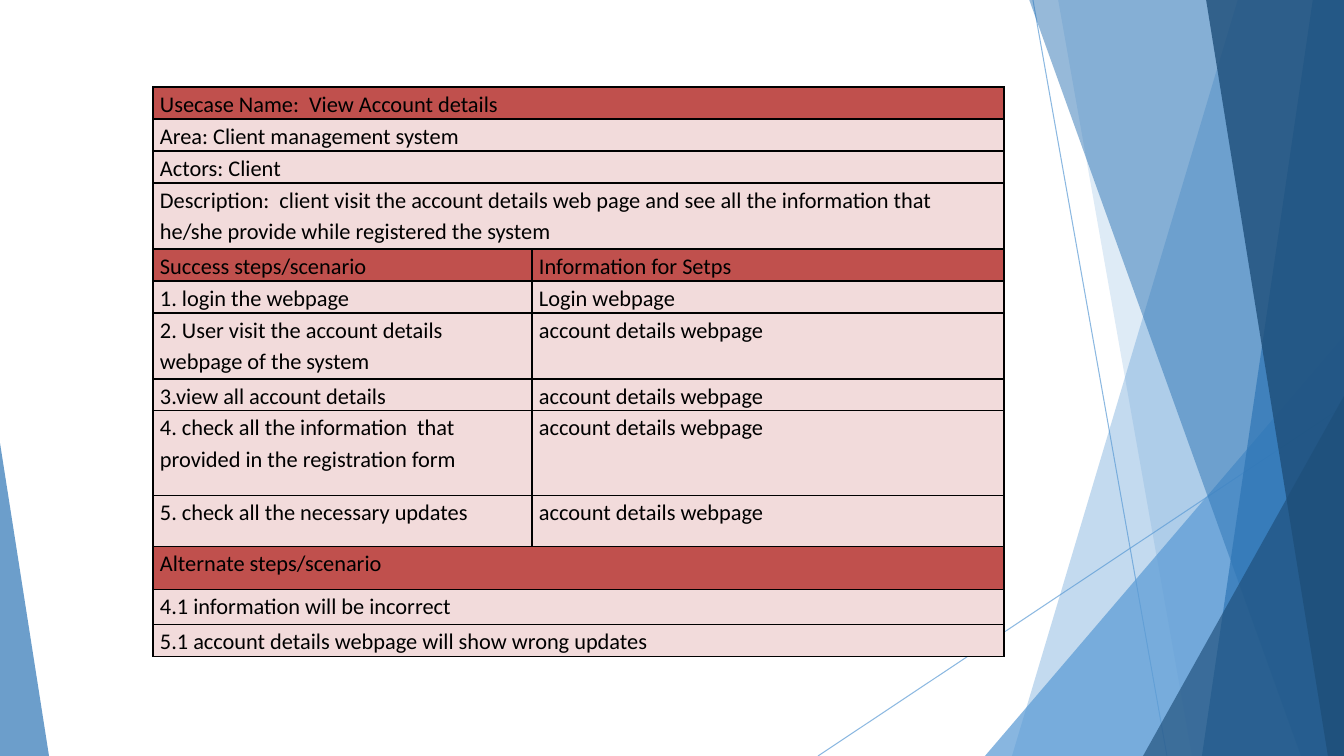
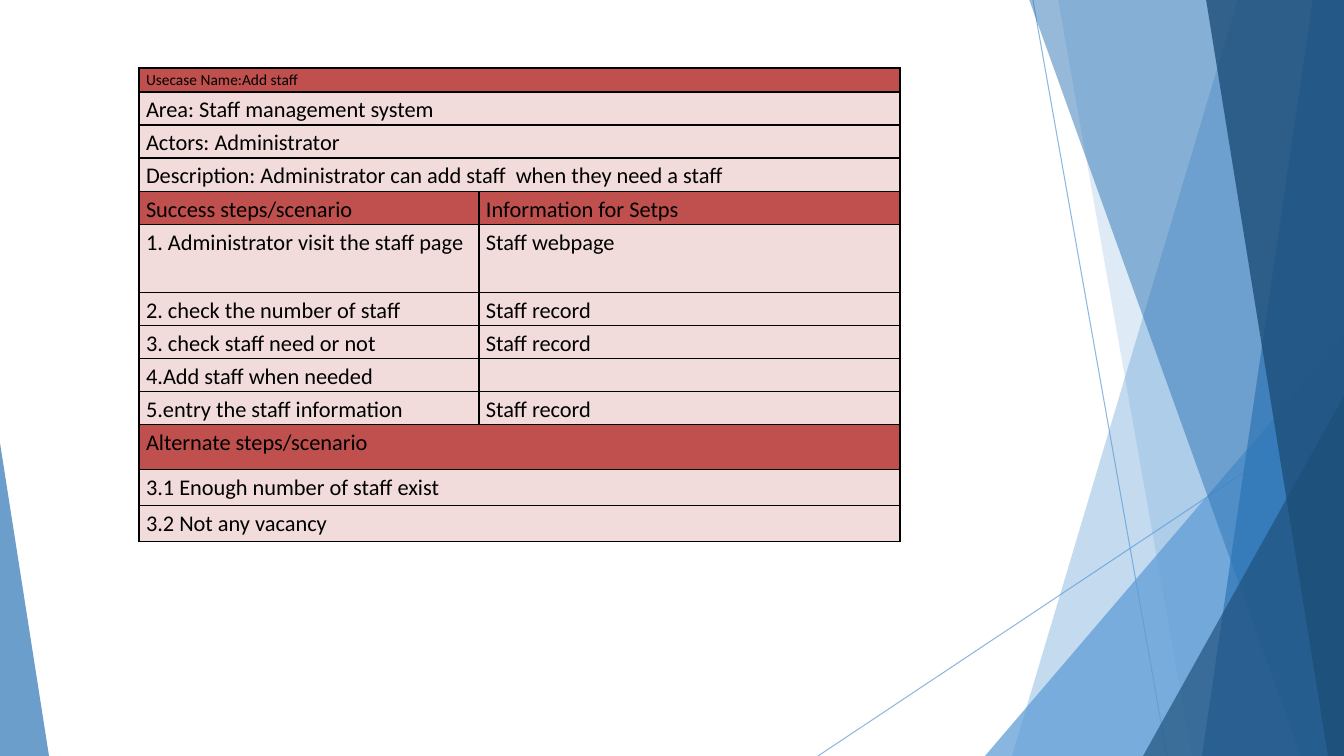
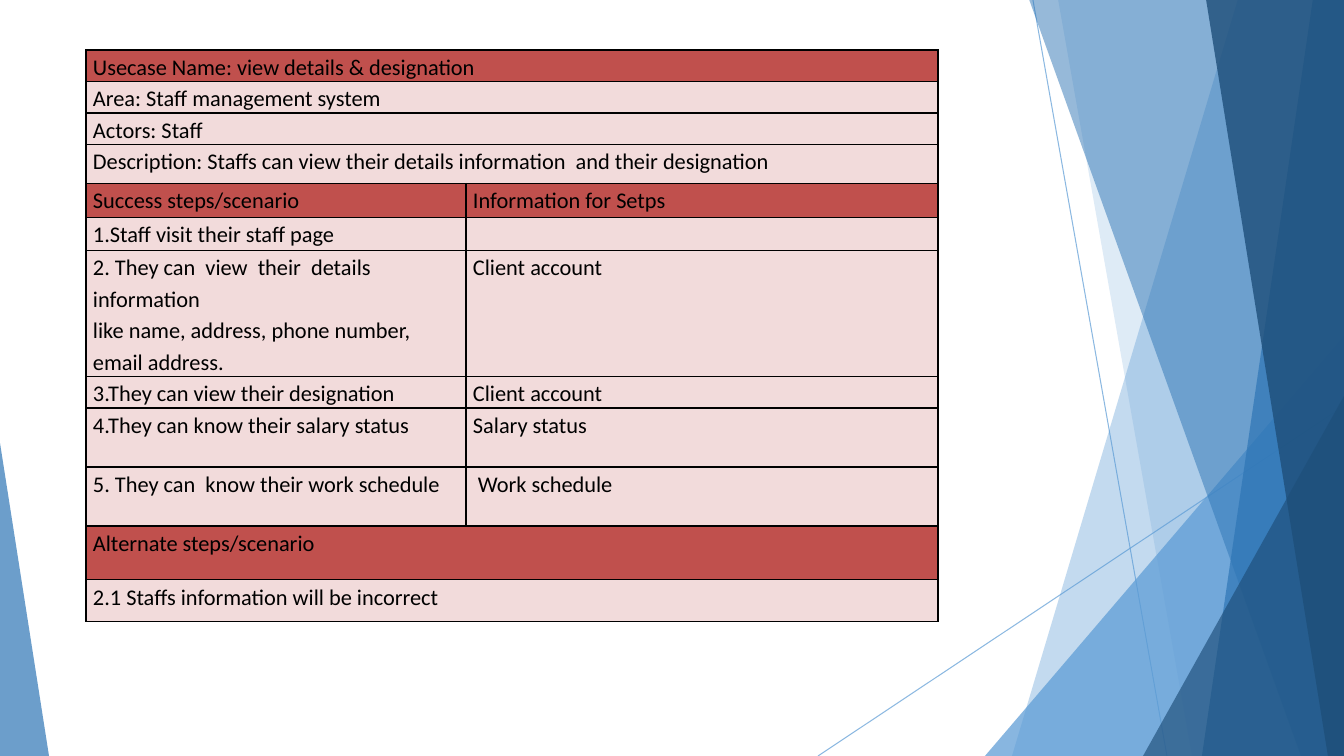
import pptx
import pptx.util
import pptx.dml.color
import pptx.enum.shapes
import pptx.oxml
import pptx.oxml.ns
import lxml.etree

PX = 914400 / 100.8
W, H = 1344, 756
RGB = pptx.dml.color.RGBColor
SKY = RGB(0x5B, 0x9B, 0xD5)
BLUE = RGB(0x2E, 0x75, 0xB5)
NAVY = RGB(0x1E, 0x4E, 0x79)
RED = RGB(0xC0, 0x50, 0x4D)
PINK = RGB(0xF2, 0xDB, 0xDB)
BLACK = RGB(0, 0, 0)

LINES = [(1033, 0, 1167, 756), (1344, 406, 818, 756)]
PANES = [
    ("band", SKY, 36, (1238, 1012)),
    ("band", SKY, 20, (1058, 1192)),
    ("triangle", SKY, 72, (985, 336, 359, 420, 1)),
    ("band", BLUE, 50, (1029, 1301)),
    ("band", BLUE, 70, (1313, 1202)),
    ("band", NAVY, 80, (1206, 1328)),
    ("triangle", NAVY, 66, (1143, 396, 201, 360, 1)),
    ("triangle", BLUE, 70, (0, 443, 49, 313, 0)),
]

HEADERS = ("Usecase", "Success", "Alternate")
STEPS = ("Success steps/scenario", "Information for Setps")
ALTERNATE = ("Alternate steps/scenario",)
CELL = {"margin_left": px_margin, "margin_right": px_margin, "margin_top": 0, "margin_bottom": 0} if (
    px_margin := pptx.util.Emu(round(7 * PX))) else {}
FONT = {"name": "Calibri", "size": pptx.util.Pt(16)}

TABLES = [
    {"at": (153, 87), "cols": (379, 472), "title_size": 16, "rows": [
        (32, ("Usecase Name:  View Account details",)),
        (32, ("Area: Client management system",)),
        (32, ("Actors: Client",)),
        (66, ("Description:  client visit the account details web page and see all the "
              "information that he/she provide while registered the system",)),
        (32, STEPS),
        (32, ("1. login the webpage", "Login webpage")),
        (66, ("2. User visit the account details webpage of the system", "account details webpage")),
        (31, ("3.view all account details", "account details webpage")),
        (85, ("4. check all the information  that provided in the registration form",
              "account details webpage")),
        (51, ("5. check all the necessary updates", "account details webpage")),
        (43, ALTERNATE),
        (35, ("4.1 information will be incorrect",)),
        (32, ("5.1 account details webpage will show wrong updates",)),
    ]},
    {"at": (139, 68), "cols": (340, 421), "title_size": 11, "rows": [
        (24, ("Usecase Name:Add staff",)),
        (33, ("Area: Staff management system",)),
        (33, ("Actors: Administrator",)),
        (34, ("Description: Administrator can add staff  when they need a staff",)),
        (33, STEPS),
        (68, ("1. Administrator visit the staff page", "Staff webpage")),
        (33, ("2. check the number of staff", "Staff record")),
        (33, ("3. check staff need or not", "Staff record")),
        (33, ("4.Add staff when needed", "")),
        (33, ("5.entry the staff information", "Staff record")),
        (45, ALTERNATE),
        (36, ("3.1 Enough number of staff exist",)),
        (36, ("3.2 Not any vacancy",)),
    ]},
    {"at": (86, 50), "cols": (380, 472), "title_size": 16, "rows": [
        (31, ("Usecase Name: view details & designation",)),
        (31, ("Area: Staff management system",)),
        (31, ("Actors: Staff",)),
        (39, ("Description: Staffs can view their details information  and their designation",)),
        (34, STEPS),
        (33, ("1.Staff visit their staff page", "")),
        (126, ("2. They can  view  their  details information\n"
               "like name, address, phone number, email address.", "Client account")),
        (31, ("3.They can view their designation", "Client account")),
        (59, ("4.They can know their salary status", "Salary status")),
        (59, ("5. They can  know their work schedule", " Work schedule")),
        (54, ALTERNATE),
        (42, ("2.1 Staffs information will be incorrect",)),
    ]},
]


def px(*values):
    return [pptx.util.Emu(round(v * PX)) for v in values]


def fade(shape, percent):
    for clr in shape.element.iter(pptx.oxml.ns.qn("a:srgbClr")):
        alpha = lxml.etree.SubElement(clr, pptx.oxml.ns.qn("a:alpha"))
        alpha.set("val", str(percent * 1000))


prs = pptx.Presentation()
prs.slide_width, prs.slide_height = px(W, H)
layout = prs.slide_layouts[6]
for ph in list(layout.placeholders):
    layout.shapes.element.remove(ph.element)
slides = [prs.slides.add_slide(layout) for _ in TABLES]

s = slides[0]
for ends in LINES:
    line = s.shapes.add_connector(pptx.enum.shapes.MSO_CONNECTOR.STRAIGHT, *px(*ends))
    line.line.color.rgb = SKY
    line.line.width = pptx.util.Pt(0.75)
    lxml.etree.SubElement(line.element.spPr, pptx.oxml.ns.qn("a:effectLst"))
    fade(line, 70)

for kind, color, opacity, geometry in PANES:
    if kind == "band":
        top_x, bottom_x = geometry
        outline = s.shapes.build_freeform(top_x, -1, scale=PX)
        outline.add_line_segments([(W, -1), (W, H), (bottom_x, H)], close=True)
        pane = outline.convert_to_shape()
    else:
        pane = s.shapes.add_shape(pptx.enum.shapes.MSO_SHAPE.ISOSCELES_TRIANGLE, *px(*geometry[:4]))
        pane.adjustments[0] = geometry[4]
    pane.shadow.inherit = False
    pane.fill.solid()
    pane.fill.fore_color.rgb = color
    pane.line.fill.background()
    fade(pane, opacity)

for shape in list(s.shapes):
    layout.shapes.element.append(shape.element)

for s, spec_table in zip(slides, TABLES):
    rows, cols = spec_table["rows"], spec_table["cols"]
    height = sum(h for h, _ in rows)
    frame = s.shapes.add_table(len(rows), len(cols), *px(*spec_table["at"], sum(cols), height))
    table = frame.table
    table.first_row = table.horz_banding = False
    for col, width in zip(table.columns, px(*cols)):
        col.width = width
    for i, (row_height, texts) in enumerate(rows):
        table.rows[i].height = px(row_height)[0]
        if len(texts) == 1:
            table.cell(i, 0).merge(table.cell(i, 1))
        for j in range(len(cols)):
            cell = table.cell(i, j)
            for name, value in CELL.items():
                setattr(cell, name, value)
            cell.fill.solid()
            cell.fill.fore_color.rgb = RED if texts[0].startswith(HEADERS) else PINK
            tcPr = cell._tc.get_or_add_tcPr()
            for k, side in enumerate(("lnL", "lnR", "lnT", "lnB")):
                tcPr.insert(k, pptx.oxml.parse_xml(
                    f'<a:{side} {pptx.oxml.ns.nsdecls("a")} w="12700"><a:solidFill>'
                    f'<a:srgbClr val="{BLACK}"/></a:solidFill></a:{side}>'))
            if j >= len(texts) or not texts[j]:
                continue
            cell.text_frame.text = texts[j]
            for p in cell.text_frame.paragraphs:
                p.line_spacing = 1.15
                for r in p.runs:
                    for name, value in FONT.items():
                        setattr(r.font, name, value)
                    r.font.color.rgb = BLACK
                    if i == 0:
                        r.font.size = pptx.util.Pt(spec_table["title_size"])

prs.save("out.pptx")
